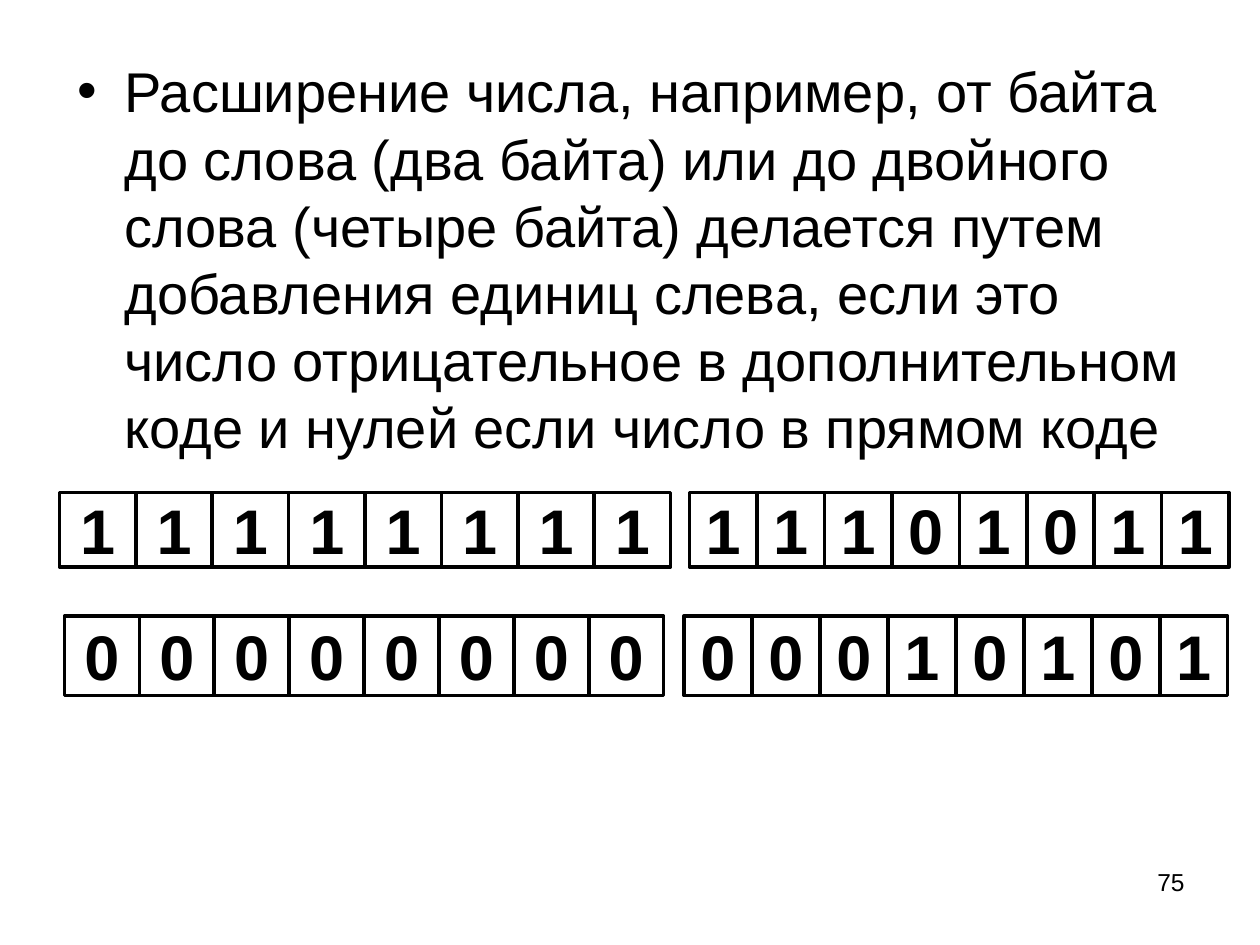
import pptx
import pptx.util
import pptx.dml.color
import pptx.enum.shapes
import pptx.enum.text

Cm = pptx.util.Cm
ALIGN = pptx.enum.text.PP_ALIGN
BLACK = "000000"

RULE_TEXT = (
    "Расширение числа, например, от байта до слова (два байта) или до "
    "двойного слова (четыре байта) делается путем добавления единиц слева, "
    "если это число отрицательное в дополнительном коде и нулей если число "
    "в прямом коде"
)

# Each byte: bits, left, top, cell width, cell height (cm)
BYTES = [
    ("11101011", 13.9, 9.93, 1.36, 1.5),
    ("11111111", 1.2, 9.93, 1.54, 1.5),
    ("00010101", 13.79, 12.42, 1.37, 1.6),
    ("00000000", 1.3, 12.42, 1.51, 1.6),
]


def color(hex_value):
    return pptx.dml.color.RGBColor.from_string(hex_value)


def style_paragraph(para, size, align, bold=False):
    para.alignment = align
    para.font.name = "Arial"
    para.font.size = pptx.util.Pt(size)
    para.font.bold = bold
    para.font.color.rgb = color(BLACK)


def place(shape, left, top, width, height):
    shape.left, shape.top = Cm(left), Cm(top)
    shape.width, shape.height = Cm(width), Cm(height)


def fill_body(slide):
    body = slide.placeholders[1]
    place(body, 1.3, 1.02, 22.86, 9.58)
    frame = body.text_frame
    frame.text = RULE_TEXT
    frame.auto_size = pptx.enum.text.MSO_AUTO_SIZE.NONE
    style_paragraph(frame.paragraphs[0], 32, ALIGN.LEFT)


def add_bit(shapes, bit, left, top, width, height):
    cell = shapes.add_shape(
        pptx.enum.shapes.MSO_SHAPE.RECTANGLE,
        Cm(left), Cm(top), Cm(width), Cm(height))
    cell.shadow.inherit = False
    cell.fill.background()
    cell.line.color.rgb = color(BLACK)
    cell.line.width = pptx.util.Pt(2)
    frame = cell.text_frame
    frame.word_wrap = False
    frame.vertical_anchor = pptx.enum.text.MSO_ANCHOR.MIDDLE
    frame.text = bit
    style_paragraph(frame.paragraphs[0], 36, ALIGN.CENTER, bold=True)


def add_byte(slide, bits, left, top, width, height):
    group = slide.shapes.add_group_shape()
    for index, bit in enumerate(bits):
        add_bit(group.shapes, bit, left + index * width, top, width, height)


def add_page_number(slide, number):
    box = slide.shapes.add_textbox(Cm(18.2), Cm(17.35), Cm(5.93), Cm(1.32))
    frame = box.text_frame
    frame.word_wrap = True
    frame.text = number
    style_paragraph(frame.paragraphs[0], 14, ALIGN.RIGHT)


def main():
    deck = pptx.Presentation()
    deck.slide_width, deck.slide_height = Cm(25.4), Cm(19.05)
    slide = deck.slides.add_slide(deck.slide_layouts[1])

    # The slide has no title
    title = slide.shapes.title.element
    title.getparent().remove(title)

    # Rule, then the extended bytes below it
    fill_body(slide)
    for byte in BYTES:
        add_byte(slide, *byte)

    add_page_number(slide, "75")
    deck.save("out.pptx")


if __name__ == "__main__":
    main()
